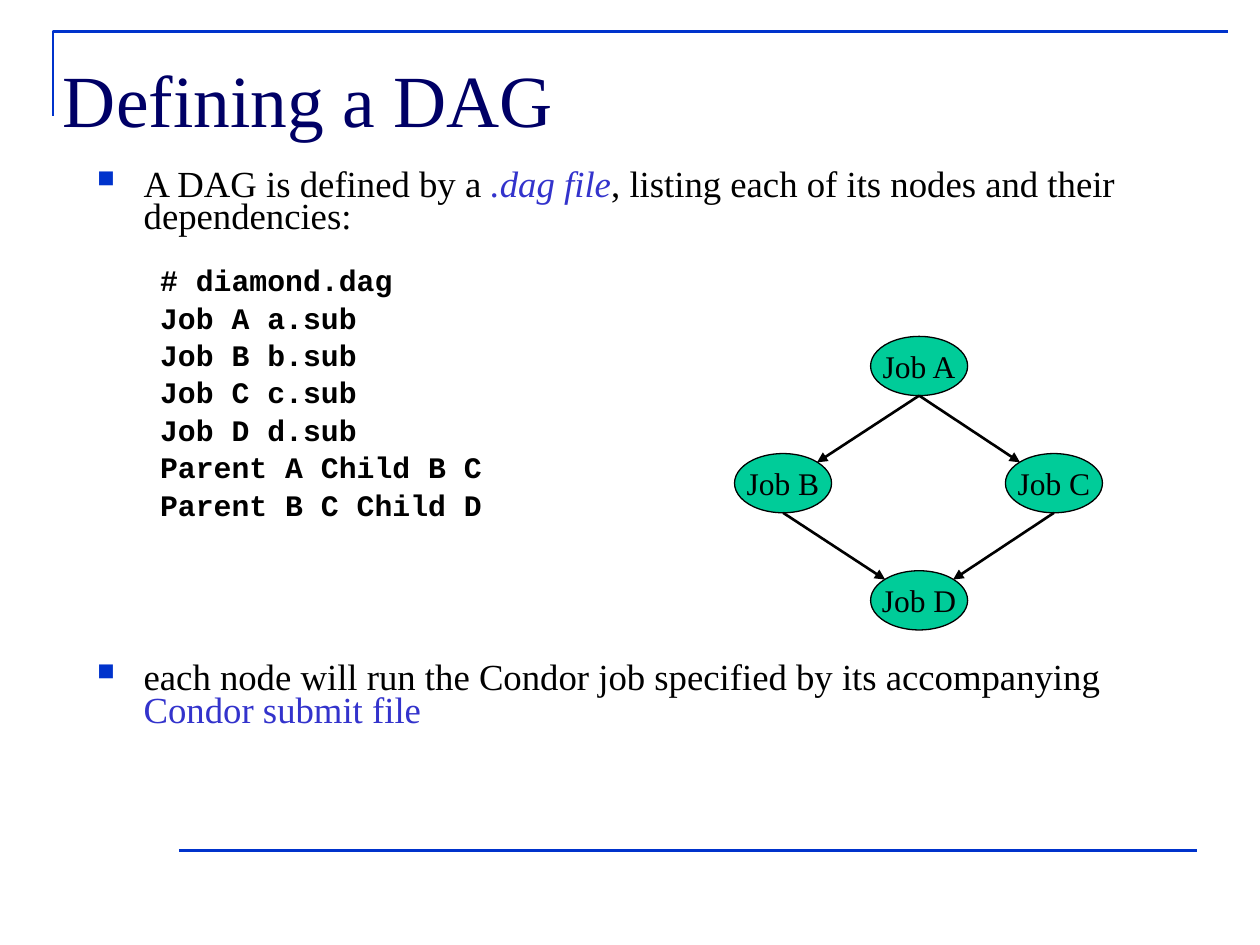
from dataclasses import dataclass

from lxml import etree
from pptx import Presentation
from pptx.dml.color import RGBColor as Rgb
from pptx.enum.shapes import MSO_CONNECTOR as Connector, MSO_SHAPE as Shape
from pptx.enum.text import MSO_ANCHOR as Anchor, PP_ALIGN as Align
from pptx.oxml.ns import qn
from pptx.util import Inches, Pt


@dataclass(frozen=True)
class Theme:
    serif: str = "Times New Roman"
    mono: str = "Courier New"
    title: str = "000066"
    rule: str = "0033CC"
    accent: str = "3333CC"
    ink: str = "000000"
    node: str = "00CC99"
    title_size: float = 42
    body_size: float = 21
    code_size: float = 17
    node_size: float = 18
    line_spacing: float = 0.73
    rule_width: float = 1.5
    node_line: float = 0.75


NODE_WIDTH, NODE_HEIGHT = 0.77, 0.47
NODES = {"A": (6.91, 2.67), "B": (5.83, 3.6), "C": (7.98, 3.6), "D": (6.91, 4.53)}
EDGES = ["AB", "AC", "CD", "BD"]
CODE = [
    "# diamond.dag",
    "Job A a.sub",
    "Job B b.sub",
    "Job C c.sub",
    "Job D d.sub",
    "Parent A Child B C",
    "Parent B C Child D",
]


class SlideBuilder:
    def __init__(self, page, theme):
        self.page = page
        self.theme = theme

    def style_font(self, font, size, color, name=None, bold=False):
        font.name = name or self.theme.serif
        font.size = Pt(size)
        font.bold = bold
        font.color.rgb = Rgb.from_string(color)

    def style_line(self, line, color, width):
        line.color.rgb = Rgb.from_string(color)
        line.width = Pt(width)

    def text_box(self, left, top, width, height, anchor=Anchor.TOP):
        box = self.page.shapes.add_textbox(
            Inches(left), Inches(top), Inches(width), Inches(height))
        frame = box.text_frame
        frame.word_wrap = True
        frame.vertical_anchor = anchor
        frame.margin_left = frame.margin_right = 0
        frame.margin_top = frame.margin_bottom = 0
        return frame

    def title(self, text):
        para = self.text_box(0.5, 0.48, 8.57, 0.59, Anchor.MIDDLE).paragraphs[0]
        para.text = text
        self.style_font(para.font, self.theme.title_size, self.theme.title)

    def bullet(self, para, spans, space_before=0):
        """Write a bulleted paragraph from (text, accented, italic) spans."""
        para.line_spacing = self.theme.line_spacing
        para.space_before = Pt(space_before)
        props = para._p.get_or_add_pPr()
        props.set("marL", str(Inches(0.37)))
        props.set("indent", str(-Inches(0.37)))
        color = etree.SubElement(props, qn("a:buClr"))
        etree.SubElement(color, qn("a:srgbClr"), val=self.theme.rule)
        etree.SubElement(props, qn("a:buSzPct"), val="65000")
        etree.SubElement(props, qn("a:buChar"), char="■")
        self.style_font(para.font, self.theme.body_size, self.theme.ink)
        for text, accented, italic in spans:
            span = para.add_run()
            span.text = text
            if accented:
                span.font.color.rgb = Rgb.from_string(self.theme.accent)
            if italic:
                span.font.italic = True

    def code_line(self, para, text, space_before):
        para.text = text
        para.line_spacing = self.theme.line_spacing
        para.space_before = Pt(space_before)
        para._p.get_or_add_pPr().set("marL", str(Inches(0.5)))
        self.style_font(para.font, self.theme.code_size, self.theme.ink,
                        self.theme.mono, bold=True)

    def corner(self, left, top, right, bottom):
        """Draw the open frame that runs up the left side and along the top."""
        outline = self.page.shapes.build_freeform(Inches(left), Inches(bottom))
        outline.add_line_segments(
            [(Inches(left), Inches(top)), (Inches(right), Inches(top))], close=False)
        shape = outline.convert_to_shape()
        shape.shadow.inherit = False
        shape.fill.background()
        self.style_line(shape.line, self.theme.rule, self.theme.rule_width)

    def line(self, start, end, color, arrow=False):
        points = [Inches(value) for value in (*start, *end)]
        connector = self.page.shapes.add_connector(Connector.STRAIGHT, *points)
        self.style_line(connector.line, color, self.theme.rule_width)
        props = connector._element.spPr
        if arrow:
            etree.SubElement(props.find(qn("a:ln")), qn("a:tailEnd"), type="triangle")
        etree.SubElement(props, qn("a:effectLst"))

    def node(self, text, left, top):
        shape = self.page.shapes.add_shape(
            Shape.OVAL, Inches(left), Inches(top), Inches(NODE_WIDTH), Inches(NODE_HEIGHT))
        shape.shadow.inherit = False
        shape.fill.solid()
        shape.fill.fore_color.rgb = Rgb.from_string(self.theme.node)
        self.style_line(shape.line, self.theme.ink, self.theme.node_line)
        frame = shape.text_frame
        frame.word_wrap = False
        frame.vertical_anchor = Anchor.MIDDLE
        para = frame.paragraphs[0]
        para.text = text
        para.alignment = Align.CENTER
        self.style_font(para.font, self.theme.node_size, self.theme.ink)

    def edge(self, parent, child):
        """Point from the bottom of the parent to the near upper side of the child."""
        left, top = NODES[parent]
        child_left, child_top = NODES[child]
        share = 0.85 if child_left < left else 0.15
        self.line((left + NODE_WIDTH / 2, top + NODE_HEIGHT),
                  (child_left + NODE_WIDTH * share, child_top + 0.07),
                  self.theme.ink, arrow=True)


def main():
    deck = Presentation()
    deck.slide_width, deck.slide_height = Inches(10), Inches(7.5)
    theme = Theme()
    builder = SlideBuilder(deck.slides.add_slide(deck.slide_layouts[6]), theme)

    builder.corner(0.42, 0.25, 9.75, 0.92)
    builder.line((1.42, 6.75), (9.5, 6.75), theme.rule)

    body = builder.text_box(0.77, 1.36, 8.49, 5.31)
    builder.bullet(body.paragraphs[0], [
        ("A DAG is defined by a ", False, False),
        (".dag file", True, True),
        (", listing each of its nodes and their dependencies:", False, False),
    ])
    for index, text in enumerate(CODE):
        builder.code_line(body.add_paragraph(), text, 6.5 if index else 20)
    builder.bullet(body.add_paragraph(), [
        ("each node will run the Condor job specified by its accompanying ", False, False),
        ("Condor submit file", True, False),
    ], space_before=82)

    builder.title("Defining a DAG")
    for name, place in NODES.items():
        builder.node(f"Job {name}", *place)
    for parent, child in EDGES:
        builder.edge(parent, child)

    deck.save("out.pptx")


if __name__ == "__main__":
    main()
